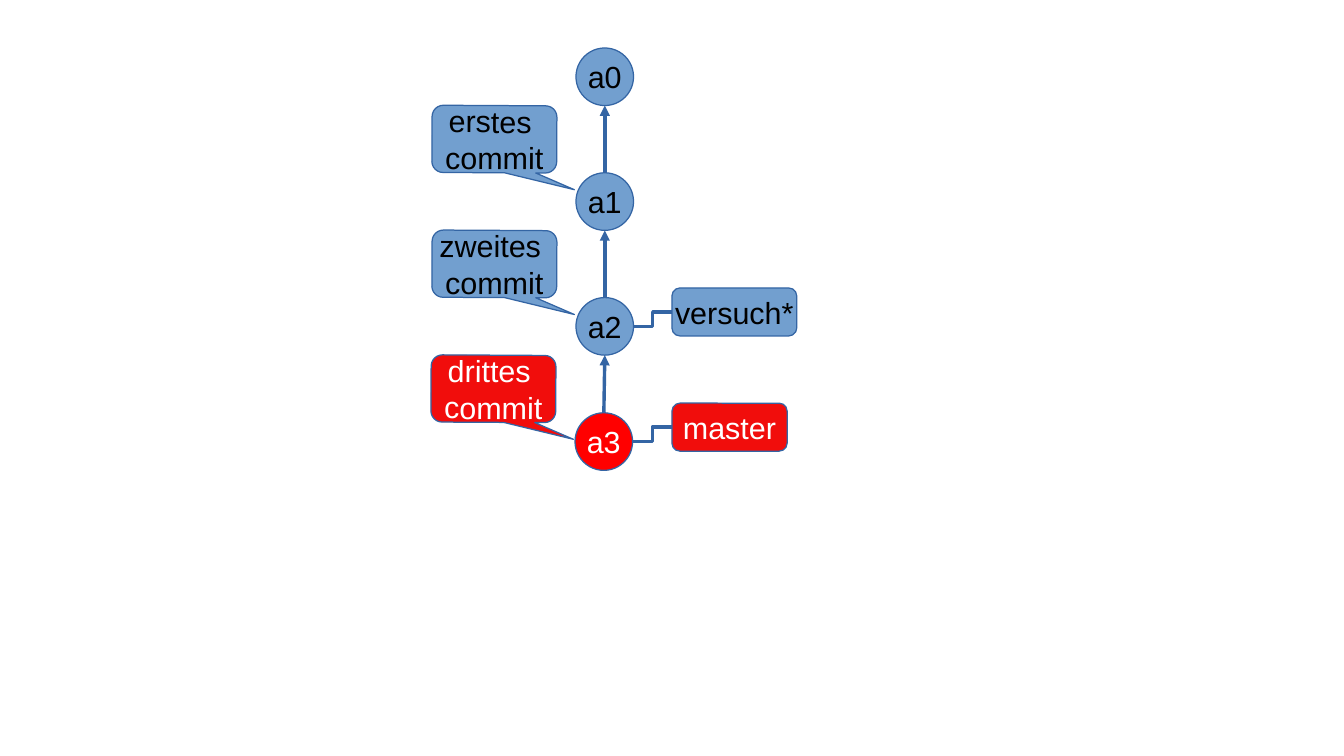
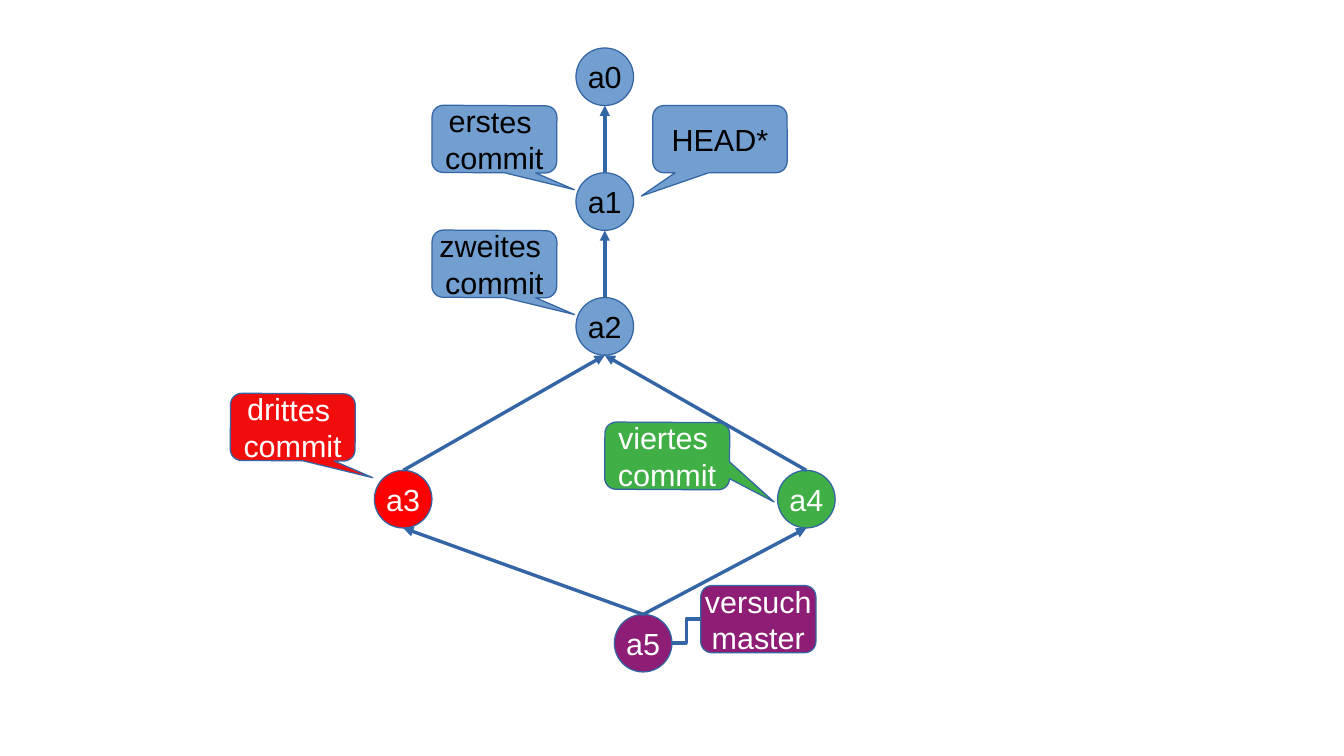
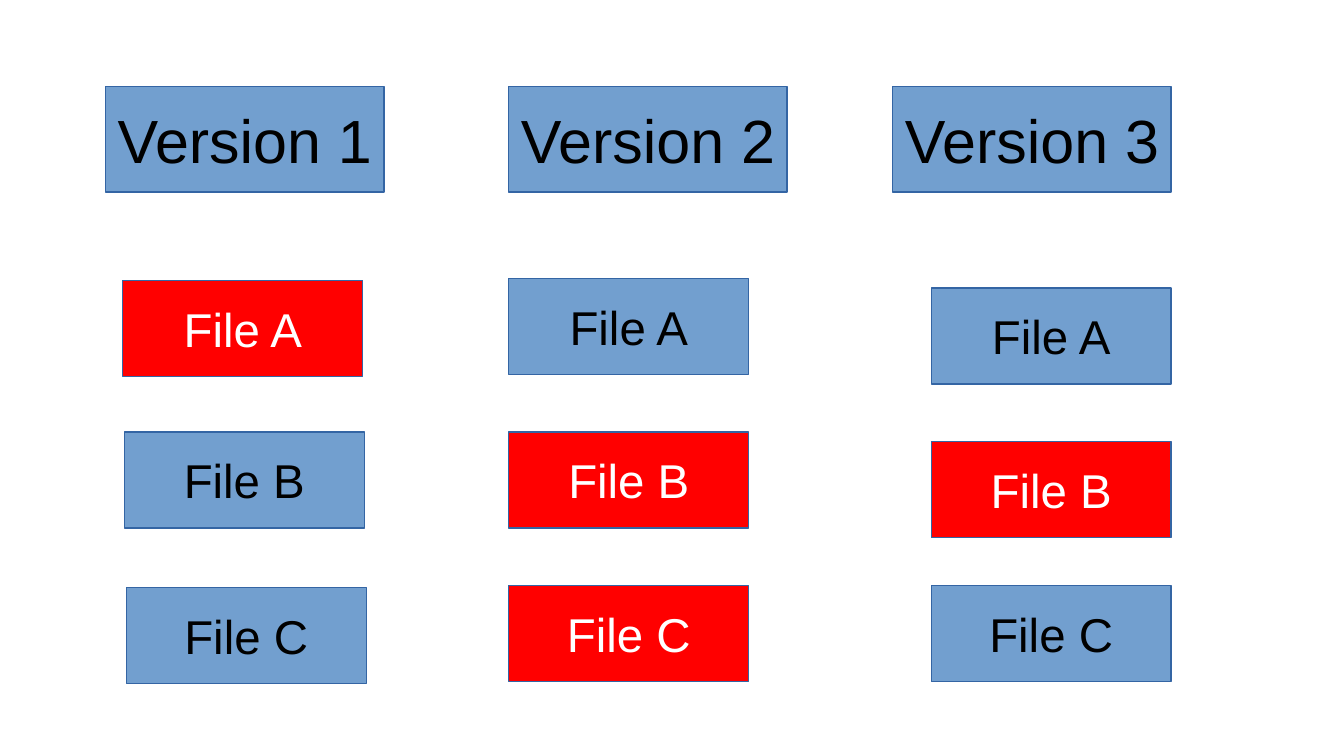
from dataclasses import dataclass

import pptx
import pptx.dml.color
import pptx.enum.shapes
import pptx.enum.text
import pptx.oxml.ns
import pptx.util
from lxml import etree
from pptx.util import Cm

SHAPE = pptx.enum.shapes.MSO_SHAPE
CONNECTOR = pptx.enum.shapes.MSO_CONNECTOR


@dataclass(frozen=True)
class Theme:
    font: str = "Arial"
    line: str = "3465A4"
    label: int = 18
    file: int = 28
    version: int = 36
    # name: (fill, text)
    blue: tuple = ("729FCF", "000000")
    red: tuple = ("FF0000", "FFFFFF")
    deep_red: tuple = ("F10D0C", "FFFFFF")
    green: tuple = ("3FAF46", "FFFFFF")
    purple: tuple = ("8D1D75", "FFFFFF")


T = Theme()

# All lengths are in centimetres.
SLIDE = (28, 15.75)
NODE = 1.2
CALLOUT = (2.6, 1.4)
CALLOUT_TILT = 0.3
TAIL_DOWN = (0.643, 0.746)
TAIL_SIDE = (0.859, 0.677)
VERSION = (5.8, 2.2)
FILE = (5, 2)

# nodes: name -> (x, y, style)
# callouts: (lines, x, y, size, tail, tilt, style)
# tags: (node, lines, x, y, width, height, style)
# arrows: (child, parent)
TRUNK = {"a0": (12, 1, T.blue), "a1": (12, 3.6, T.blue), "a2": (12, 6.2, T.blue)}
TRUNK_ARROWS = [("a1", "a0"), ("a2", "a1")]


def commit(ordinal, x, y, style, tail=TAIL_DOWN):
    return ([ordinal + " ", "commit"], x, y, CALLOUT, tail, CALLOUT_TILT, style)


TRUNK_CALLOUTS = [commit("erstes", 9, 2.2, T.blue), commit("zweites", 9, 4.8, T.blue)]

GRAPHS = [
    {
        "nodes": {**TRUNK, "a3": (11.98, 8.6, T.red)},
        "callouts": [*TRUNK_CALLOUTS, commit("drittes", 8.98, 7.4, T.deep_red)],
        "tags": [("a2", ["versuch*"], 14, 6, 2.6, 1, T.blue),
                 ("a3", ["master"], 14, 8.4, 2.4, 1, T.deep_red)],
        "arrows": [*TRUNK_ARROWS, ("a3", "a2")],
    },
    {
        "nodes": {**TRUNK, "a3": (7.8, 9.8, T.red), "a4": (16.2, 9.8, T.green),
                  "a5": (12.8, 12.8, T.purple)},
        "callouts": [*TRUNK_CALLOUTS,
                     commit("drittes", 4.8, 8.2, T.deep_red),
                     commit("viertes", 12.6, 8.8, T.green, TAIL_SIDE),
                     (["HEAD*"], 13.6, 2.2, (2.8, 1.4), (-0.586, 0.847), 0, T.blue)],
        "tags": [("a5", ["versuch", "master"], 14.6, 12.2, 2.4, 1.4, T.purple)],
        "arrows": [*TRUNK_ARROWS, ("a3", "a2"), ("a4", "a2"), ("a5", "a3"), ("a5", "a4")],
    },
]

# (title, x, files as (name, x, y, style))
VERSIONS = [
    ("Version 1", 2.2, [("File A", 2.56, 5.84, T.red), ("File B", 2.59, 9, T.blue),
                        ("File C", 2.63, 12.24, T.blue)]),
    ("Version 2", 10.6, [("File A", 10.6, 5.8, T.blue), ("File B", 10.6, 9, T.red),
                         ("File C", 10.6, 12.2, T.red)]),
    ("Version 3", 18.6, [("File A", 19.4, 6, T.blue), ("File B", 19.4, 9.2, T.red),
                         ("File C", 19.4, 12.2, T.blue)]),
]
VERSION_TOP = 1.8


def rgb(code):
    return pptx.dml.color.RGBColor.from_string(code)


def set_line(line):
    line.color.rgb = rgb(T.line)
    line.width = pptx.util.Pt(0)


def add_box(s, kind, x, y, size, lines, style, points=T.label):
    fill, ink = style
    sp = s.shapes.add_shape(kind, Cm(x), Cm(y), Cm(size[0]), Cm(size[1]))
    sp.shadow.inherit = False
    sp.fill.solid()
    sp.fill.fore_color.rgb = rgb(fill)
    set_line(sp.line)
    tf = sp.text_frame
    tf.word_wrap = False
    tf.vertical_anchor = pptx.enum.text.MSO_ANCHOR.MIDDLE
    for i, text in enumerate(lines):
        p = tf.paragraphs[0] if i == 0 else tf.add_paragraph()
        p.alignment = pptx.enum.text.PP_ALIGN.CENTER
        r = p.add_run()
        r.text = text
        r.font.name = T.font
        r.font.size = pptx.util.Pt(points)
        r.font.color.rgb = rgb(ink)
    return sp


def add_link(s, kind, start, end, arrow=False):
    cx = s.shapes.add_connector(kind, *(Cm(v) for v in (*start, *end)))
    set_line(cx.line)
    if arrow:
        ln = cx.line._get_or_add_ln()
        etree.SubElement(ln, pptx.oxml.ns.qn("a:tailEnd"), type="triangle")
    etree.SubElement(cx._element.spPr, pptx.oxml.ns.qn("a:effectLst"))


def add_graph(s, graph):
    nodes = graph["nodes"]
    for name, (x, y, style) in nodes.items():
        add_box(s, SHAPE.OVAL, x, y, (NODE, NODE), [name], style)
    for lines, x, y, size, tail, tilt, style in graph["callouts"]:
        sp = add_box(s, SHAPE.ROUNDED_RECTANGULAR_CALLOUT, x, y, size, lines, style)
        sp.rotation = tilt
        sp.adjustments[0], sp.adjustments[1] = tail
    for name, lines, x, y, w, h, style in graph["tags"]:
        add_box(s, SHAPE.FLOWCHART_ALTERNATE_PROCESS, x, y, (w, h), lines, style)
        nx, ny, _ = nodes[name]
        add_link(s, CONNECTOR.ELBOW, (nx + NODE, ny + NODE / 2), (x, y + h / 2))
    for child, parent in graph["arrows"]:
        (cx, cy, _), (px, py, _) = nodes[child], nodes[parent]
        add_link(s, CONNECTOR.STRAIGHT, (cx + NODE / 2, cy),
                 (px + NODE / 2, py + NODE), arrow=True)


def add_versions(s):
    for title, left, files in VERSIONS:
        add_box(s, SHAPE.RECTANGLE, left, VERSION_TOP, VERSION, [title], T.blue, T.version)
        for name, x, y, style in files:
            add_box(s, SHAPE.RECTANGLE, x, y, FILE, [name], style, T.file)


def main():
    prs = pptx.Presentation()
    prs.slide_width, prs.slide_height = (Cm(v) for v in SLIDE)
    blank = prs.slide_layouts[6]
    for graph in GRAPHS:
        add_graph(prs.slides.add_slide(blank), graph)
    add_versions(prs.slides.add_slide(blank))
    prs.save("out.pptx")


if __name__ == "__main__":
    main()
